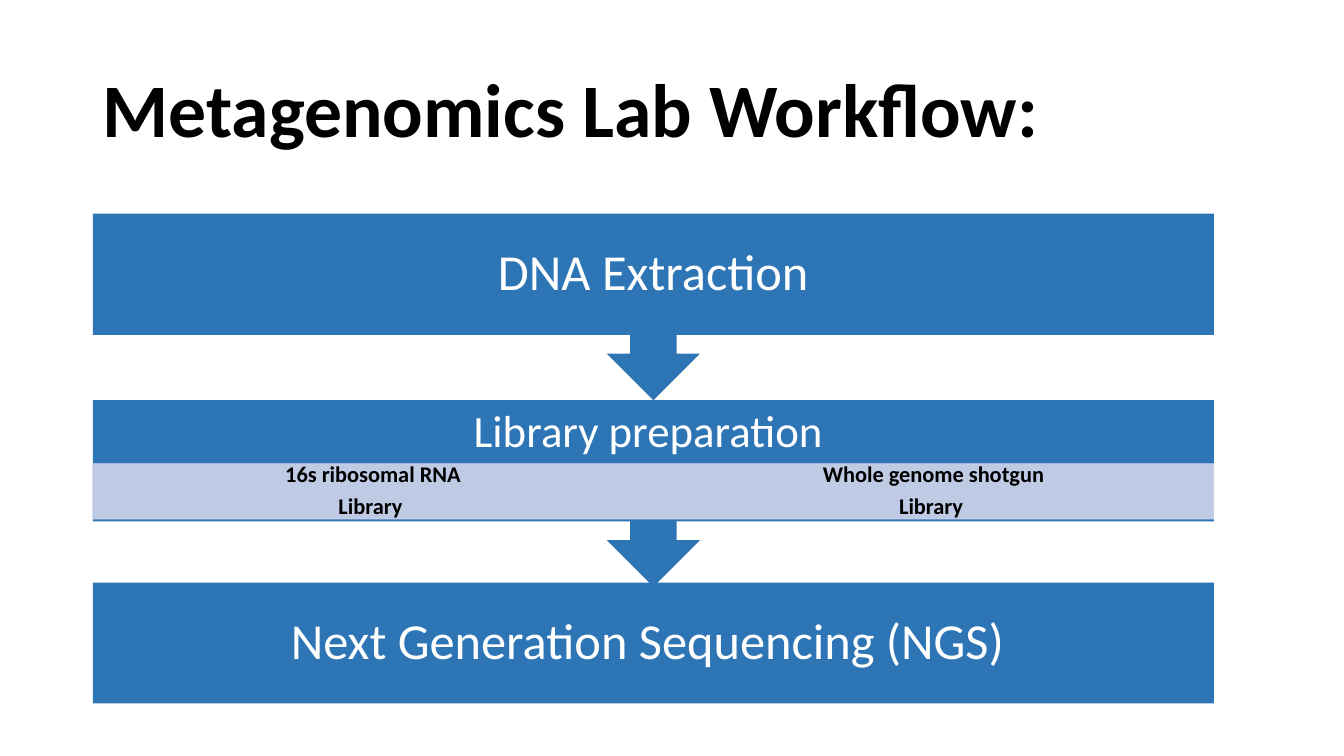
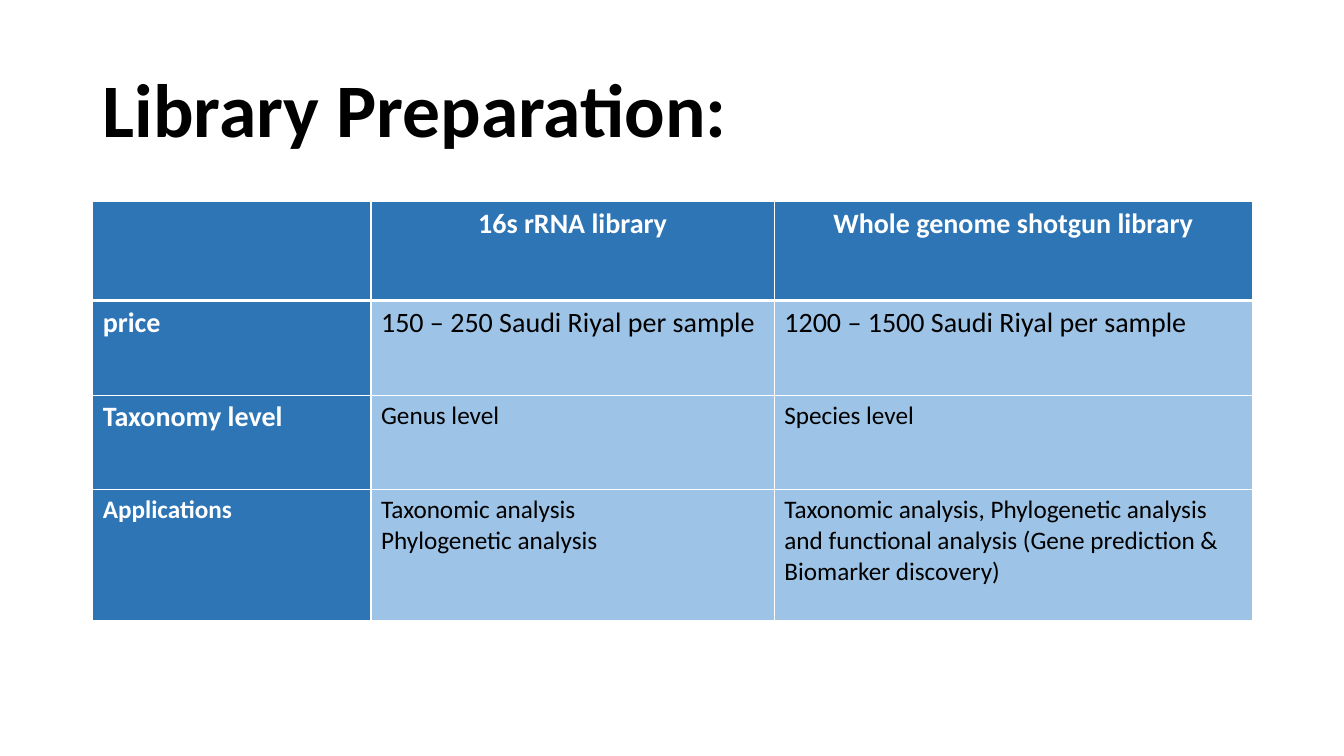
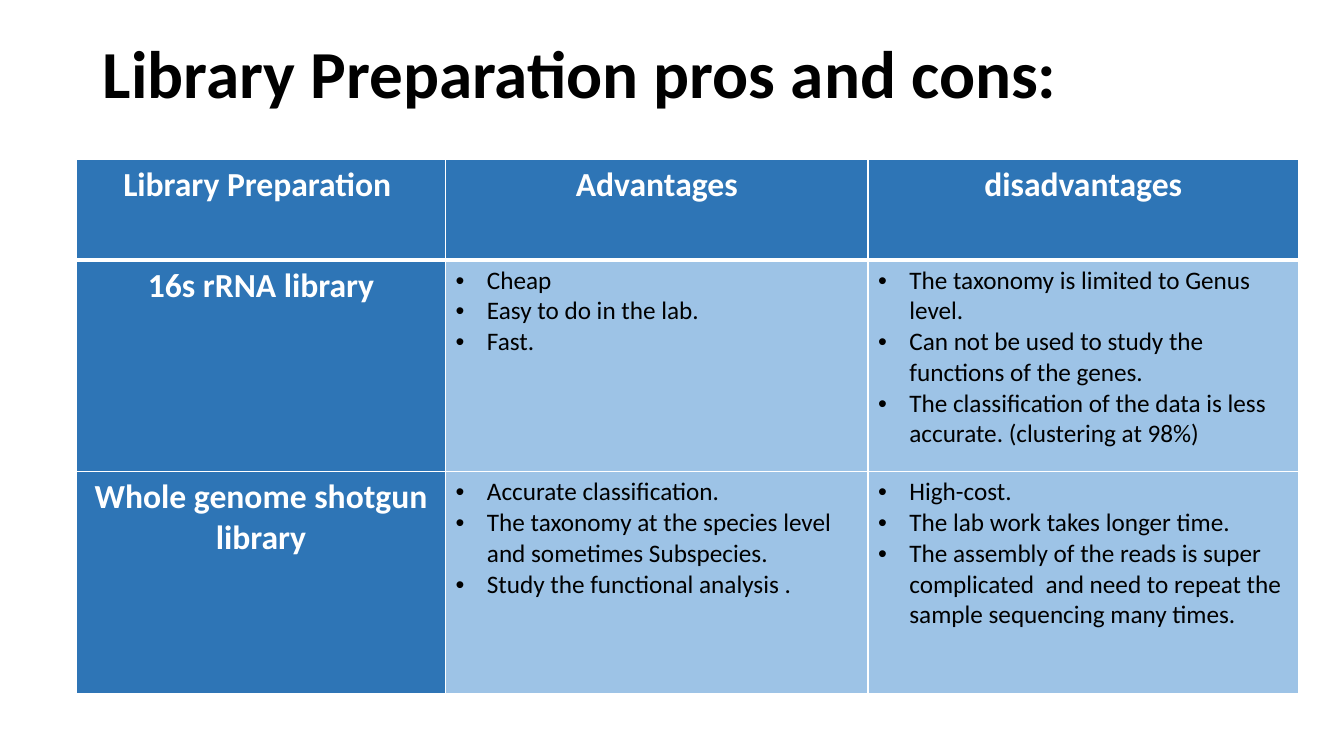
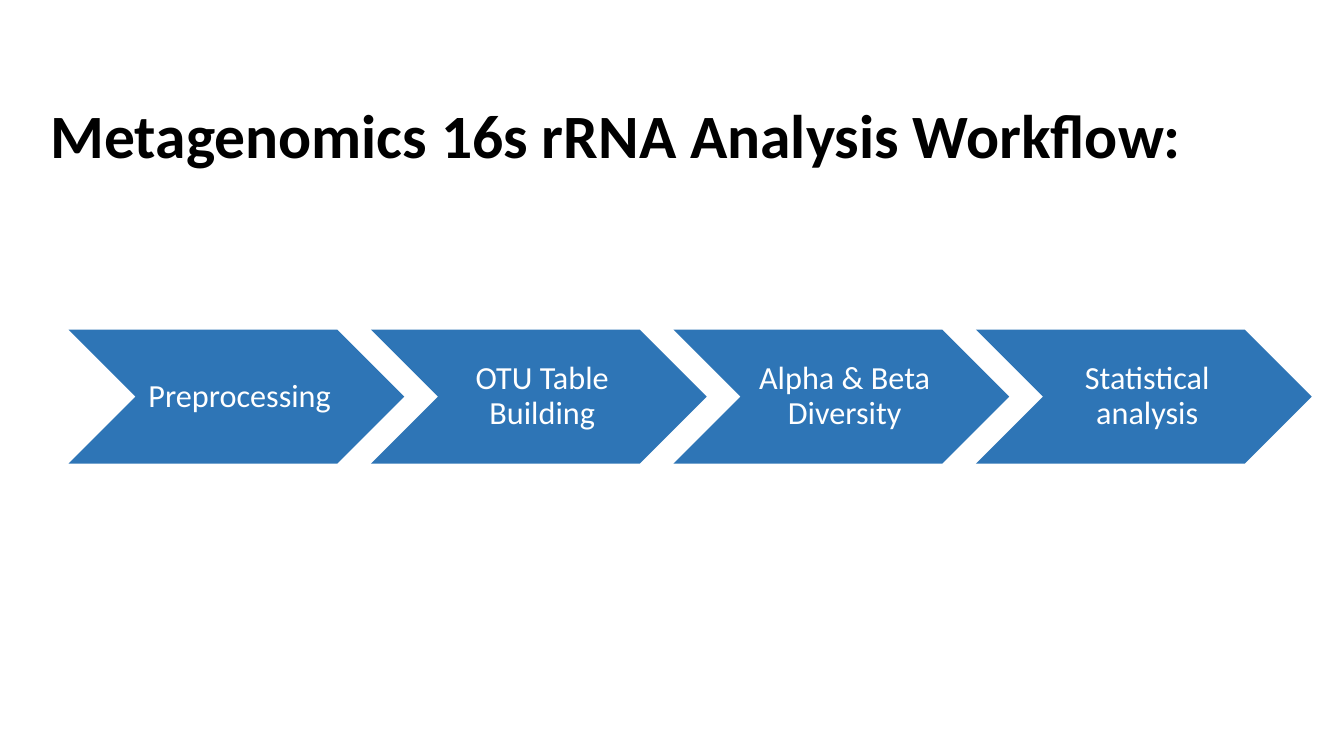
from pptx import Presentation
from pptx.dml.color import RGBColor
from pptx.enum.shapes import MSO_SHAPE
from pptx.enum.text import MSO_ANCHOR, MSO_AUTO_SIZE, PP_ALIGN
from pptx.oxml.ns import qn
from pptx.util import Inches, Pt
from lxml.etree import SubElement

BLUE = RGBColor(0x2E, 0x75, 0xB6)
SKY = RGBColor(0x9D, 0xC3, 0xE6)
PALE = RGBColor(0xCF, 0xD5, 0xEA)
BLACK = RGBColor(0, 0, 0)
WHITE = RGBColor(255, 255, 255)
FONT = "Calibri"


class Deck:
    """Holds the shared style and the current slide."""

    def __init__(self):
        self.prs = Presentation()
        self.prs.slide_width = Inches(13.33)
        self.prs.slide_height = Inches(7.5)
        self.slide = None

    def style(self, frame, size, color, bold=False, align=PP_ALIGN.CENTER, line=0.9):
        for para in frame.paragraphs:
            para.alignment = align
            para.line_spacing = line
            for run in para.runs:
                font = run.font
                font.name, font.size, font.bold = FONT, Pt(size), bold
                font.color.rgb = color

    def title(self, text, size=54, box=(0.92, 0.4, 11.5, 1.45), top=False):
        """Start a slide with its title."""
        self.slide = self.prs.slides.add_slide(self.prs.slide_layouts[5])
        head = self.slide.shapes.title
        head.left, head.top, head.width, head.height = map(Inches, box)
        frame = head.text_frame
        frame.text = text
        frame.word_wrap = True
        frame.auto_size = MSO_AUTO_SIZE.NONE
        frame.vertical_anchor = MSO_ANCHOR.MIDDLE
        if top:
            frame.vertical_anchor = MSO_ANCHOR.TOP
            frame.margin_top = 0
        self.style(frame, size, BLACK, True, PP_ALIGN.LEFT)

    def shape(self, kind, box, text, size, pads, fill=BLUE, color=WHITE, bold=False):
        """Add a flat shape; pads are left, top, right and bottom."""
        item = self.slide.shapes.add_shape(kind, *map(Inches, box))
        item.shadow.inherit = False
        item.fill.solid()
        item.fill.fore_color.rgb = fill
        item.line.fill.background()
        frame = item.text_frame
        frame.text = text
        frame.word_wrap = True
        frame.vertical_anchor = MSO_ANCHOR.MIDDLE
        (frame.margin_left, frame.margin_top,
         frame.margin_right, frame.margin_bottom) = map(Inches, pads)
        self.style(frame, size, color, bold)
        return item

    def panel(self, box, text):
        """Add a pale, slightly clear box with a thin outline."""
        item = self.shape(MSO_SHAPE.RECTANGLE, box, text, 16,
                          (0.12, 0.02, 0.12, 0.02), PALE, BLACK, True)
        item.text_frame.paragraphs[0].space_after = Pt(5.6)
        item.line.color.rgb = PALE
        item.line.width = Pt(0.5)
        for color in item._element.spPr.iter(qn("a:srgbClr")):
            SubElement(color, qn("a:alpha"), val="90000")

    def edge(self, cell, row):
        """Draw white cell borders, thick below the header row."""
        props = cell._tc.get_or_add_tcPr()
        for side in "LRTB":
            thick = (side, row) in (("B", 0), ("T", 1))
            line = SubElement(props, qn("a:ln" + side), w=str(Pt(3 if thick else 1)))
            fill = SubElement(line, qn("a:solidFill"))
            SubElement(fill, qn("a:srgbClr"), val=str(WHITE))

    def bullet(self, frame):
        for para in frame.paragraphs:
            props = para._p.get_or_add_pPr()
            props.set("marL", str(Inches(0.31)))
            props.set("indent", str(-Inches(0.31)))
            SubElement(props, qn("a:buFont"), typeface="Arial")
            SubElement(props, qn("a:buChar"), char="•")

    def table(self, left, top, cols, rows, align, bullets=False):
        """Add a table; a row is height, head size, body size and texts."""
        tall = sum(row[0] for row in rows)
        box = map(Inches, (left, top, sum(cols), tall))
        grid = self.slide.shapes.add_table(len(rows), len(cols), *box).table
        for col, width in zip(grid.columns, cols):
            col.width = Inches(width)
        for r, (height, big, small, texts) in enumerate(rows):
            grid.rows[r].height = Inches(height)
            for c, text in enumerate(texts):
                cell = grid.cell(r, c)
                head = r == 0 or c == 0
                self.edge(cell, r)
                cell.fill.solid()
                cell.fill.fore_color.rgb = BLUE if head else SKY
                frame = cell.text_frame
                frame.text = text
                side = PP_ALIGN.CENTER if r == 0 else align if head else PP_ALIGN.LEFT
                self.style(frame, big if head else small,
                           WHITE if head else BLACK, head, side, 1.0)
                if bullets and not head:
                    self.bullet(frame)


def main():
    deck = Deck()

    # Lab workflow
    deck.title("Metagenomics Lab Workflow:")
    left, wide = 0.92, 11.12
    pad = (0.28,) * 4
    deck.shape(MSO_SHAPE.RECTANGLE, (left, 5.78, wide, 1.2),
               "Next Generation Sequencing (NGS) ", 36, pad)
    call = MSO_SHAPE.DOWN_ARROW_CALLOUT
    deck.shape(call, (left, 3.97, wide, 1.85), "Library preparation ", 32,
               (0.25, 0, 0.25, 0.55))
    half = wide / 2
    for i, name in enumerate(("16s ribosomal RNA", "Whole genome shotgun")):
        deck.panel((left + i * half, 4.6, half, 0.55), name + "\nLibrary ")
    deck.shape(call, (left, 2.12, wide, 1.85), "DNA Extraction", 36, pad)

    # Library comparison
    deck.title("Library Preparation:")
    deck.table(0.92, 2, (2.76, 4, 4.74), [
        (0.98, 20, 20, ("", "16s rRNA library", "Whole genome shotgun library")),
        (0.94, 20, 20, ("price", "150 – 250 Saudi Riyal per sample",
                        "1200 – 1500 Saudi Riyal per sample")),
        (0.94, 20, 18, ("Taxonomy level", "Genus level", "Species level")),
        (1.3, 18, 18, ("Applications", "Taxonomic analysis\nPhylogenetic analysis",
                       "Taxonomic analysis, Phylogenetic analysis and functional "
                       "analysis (Gene prediction & Biomarker discovery)")),
    ], PP_ALIGN.LEFT)

    # Pros and cons
    deck.title("Library Preparation pros and cons:", 48, top=True)
    deck.table(0.76, 1.58, (3.66, 4.19, 4.27), [
        (1, 24, 24, ("Library Preparation ", "Advantages", "disadvantages")),
        (2.1, 24, 18, (
            "16s rRNA library",
            "Cheap\nEasy to do in the lab.\nFast.",
            "The taxonomy is limited to Genus level.\n"
            "Can not be used to study the functions of the genes.\n"
            "The classification of the data is less accurate. (clustering at 98%)")),
        (2.2, 24, 18, (
            "Whole genome shotgun library",
            "Accurate classification.\n"
            "The taxonomy at the species level and sometimes Subspecies.\n"
            "Study the functional analysis .",
            "High-cost.\nThe lab work takes longer time.\n"
            "The assembly of the reads is super complicated  and need to repeat "
            "the sample sequencing many times.")),
    ], PP_ALIGN.CENTER, bullets=True)

    # Analysis workflow
    deck.title("Metagenomics 16s rRNA Analysis Workflow:", 44, (0.4, 0.58, 12.91, 1.58))
    steps = ("Preprocessing", "OTU Table Building", "Alpha & Beta Diversity",
             "Statistical analysis")
    for i, step in enumerate(steps):
        deck.shape(MSO_SHAPE.CHEVRON, (0.68 + 3 * i, 3.27, 3.33, 1.33), step, 23,
                   (0.1, 0.03, 0.03, 0.03))

    deck.prs.save("out.pptx")


if __name__ == "__main__":
    main()
